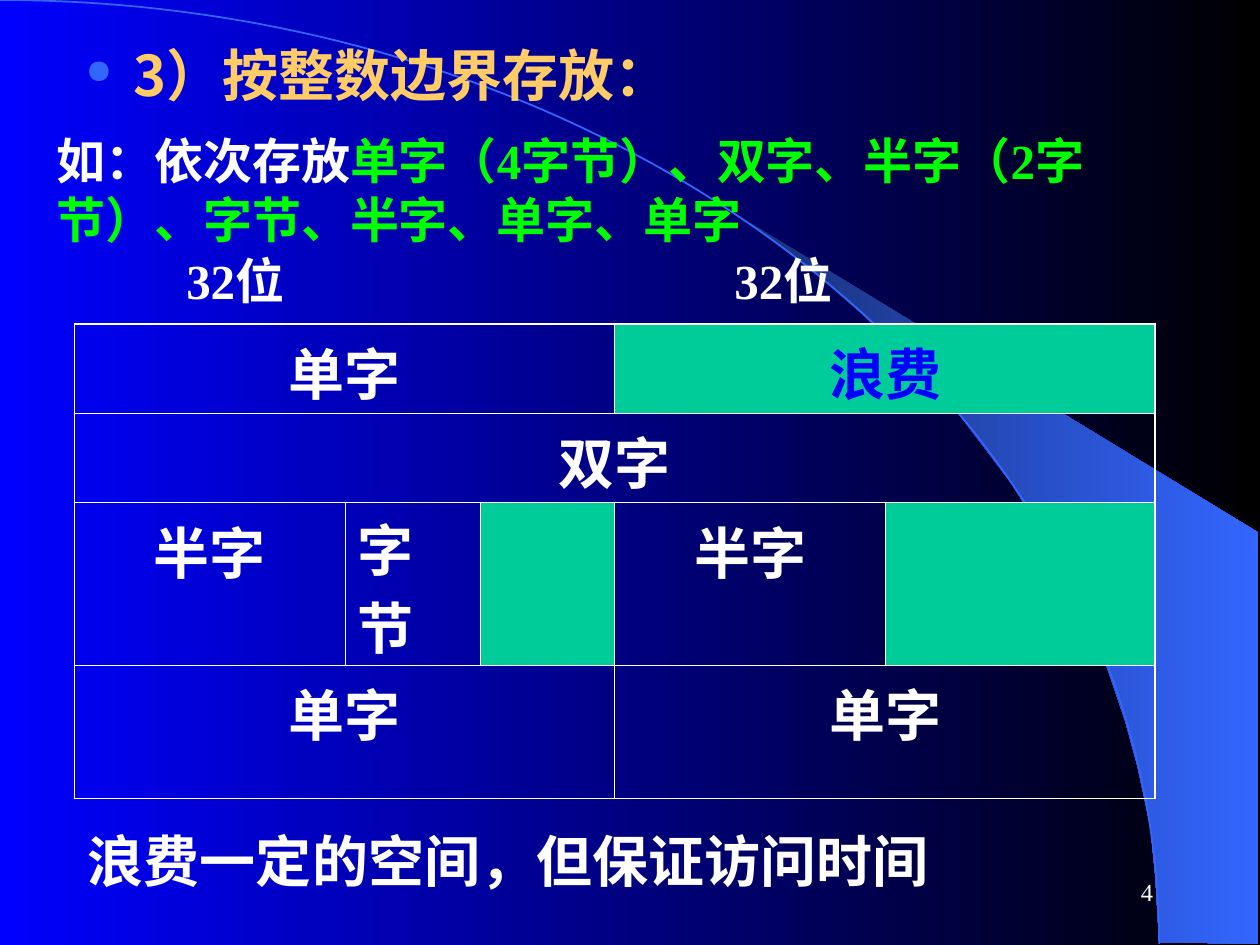
import math
from typing import NamedTuple, Optional

from lxml import etree
from pptx import Presentation
from pptx import util as u
from pptx.dml.color import RGBColor
from pptx.enum import text
from pptx.oxml import ns

LATIN, CJK = "Times New Roman", "Noto Sans CJK SC"
WHITE, BLUE, SKY, GREEN = "FFFFFF", "0000FF", "3366FF", "00FF00"
GOLD, WASTE = "FFCC66", "00CC99"
THIN, THICK = 0.45, 1.08
COLUMNS = [2.15, 1.07, 1.07, 2.15, 2.14]
ROWS = [0.71, 0.71, 1.28, 1.06]


class Field(NamedTuple):
    """One stored item, covering some columns of a memory row."""
    row: int
    column: int
    span: int
    label: str = ""
    fill: Optional[str] = None
    color: str = WHITE
    align: text.PP_ALIGN = text.PP_ALIGN.CENTER
    line_spacing: float = 1.0


class Caption(NamedTuple):
    left: float
    top: float
    width: float
    height: float
    runs: list  # (text, colour)
    size: float = 28
    bold: bool = True
    align: text.PP_ALIGN = text.PP_ALIGN.LEFT
    anchor: text.MSO_ANCHOR = text.MSO_ANCHOR.TOP
    before: float = 0
    tab: float = 0


FIELDS = [
    Field(0, 0, 3, "单字"),
    Field(0, 3, 2, "浪费", WASTE, BLUE),
    Field(1, 0, 5, "双字"),
    Field(2, 0, 1, "半字"),
    Field(2, 1, 1, "字节", align=text.PP_ALIGN.LEFT, line_spacing=0.96),
    Field(2, 2, 1, fill=WASTE),
    Field(2, 3, 1, "半字"),
    Field(2, 4, 1, fill=WASTE),
    Field(3, 0, 3, "单字"),
    Field(3, 3, 2, "单字"),
]

CAPTIONS = [
    Caption(0.35, 0.99, 8.98, 1.04, [
        ("如：依次存放", WHITE),
        ("单字（4字节）、双字、半字（2字节）、字节、半字、单字、单字", GREEN)]),
    Caption(0.6, 6.51, 7.2, 0.64, [("浪费一定的空间，但保证访问时间", WHITE)], size=32),
    Caption(1.38, 1.94, 7.08, 0.57, [("32位\t32位", WHITE)], before=17.5, tab=4.35),
    Caption(7.17, 6.83, 2.08, 0.5, [("4", WHITE)], size=14, bold=False,
            align=text.PP_ALIGN.RIGHT, anchor=text.MSO_ANCHOR.MIDDLE),
]

BEAM = [(9.2, 7.48), (9.99, 7.49), (9.99, 4.23), (5.89, 1.73), (6.24, 1.99),
        (6.53, 2.22), (6.85, 2.5), (7.16, 2.8), (7.62, 3.3), (8.03, 3.84),
        (8.32, 4.31), (8.58, 4.79), (8.78, 5.28), (8.93, 5.72), (9.03, 6.09),
        (9.13, 6.56), (9.17, 6.96)]


def rgb(color: str) -> RGBColor:
    return RGBColor.from_string(color)


def add_xml(parent, tag: str, **attributes):
    return etree.SubElement(parent, ns.qn(tag), attributes)


def style_run(run, size: float, color: str, bold: bool = True, latin: str = LATIN) -> None:
    run.font.size = u.Pt(size)
    run.font.bold = bold
    run.font.color.rgb = rgb(color)
    run.font.name = latin
    add_xml(run.font._element, "a:ea", typeface=CJK)


def fill_gradient(fill, start: str, end: str) -> None:
    fill.gradient()
    fill.gradient_angle = 0
    for stop, color in zip(fill.gradient_stops, (start, end)):
        stop.color.rgb = rgb(color)


def add_outline(slide, points: list, close: bool):
    builder = slide.shapes.build_freeform(
        u.Inches(points[0][0]), u.Inches(points[0][1]))
    builder.add_line_segments(
        [(u.Inches(x), u.Inches(y)) for x, y in points[1:]], close=close)
    outline = builder.convert_to_shape()
    outline.shadow.inherit = False
    return outline


def add_backdrop(slide) -> None:
    fill_gradient(slide.background.fill, BLUE, "000000")
    beam = add_outline(slide, BEAM, True)
    fill_gradient(beam.fill, "182F76", SKY)
    beam.line.fill.background()

    steps = 90
    angles = [math.pi / 2 * step / steps for step in range(steps + 1)]
    arc = add_outline(slide, [(9.2 * math.sin(a), 7.49 * (1 - math.cos(a)))
                              for a in angles], False)
    arc.fill.background()
    arc.line.color.rgb = rgb(SKY)
    arc.line.width = u.Pt(1)


def add_border(cell, side: str, width: float) -> None:
    """Draw one cell edge; a width of 0 hides it."""
    edge = add_xml(cell._tc.get_or_add_tcPr(), f"a:ln{side}", w=str(u.Pt(width)))
    if width:
        add_xml(add_xml(edge, "a:solidFill"), "a:srgbClr", val=WHITE)
    else:
        add_xml(edge, "a:noFill")


def add_field(table, field: Field) -> None:
    last = field.column + field.span - 1
    first_cell = table.cell(field.row, field.column)
    if field.span > 1:
        first_cell.merge(table.cell(field.row, last))
    for column in range(field.column, last + 1):
        cell = table.cell(field.row, column)
        left = THICK if column == 0 else THIN
        right = THICK if last == len(COLUMNS) - 1 else THIN
        add_border(cell, "L", left if column == field.column else 0)
        add_border(cell, "R", right if column in (field.column, last) else 0)
        add_border(cell, "T", THICK if field.row == 0 else THIN)
        add_border(cell, "B", THICK if field.row == len(ROWS) - 1 else THIN)
        cell.margin_bottom = u.Inches(0)
        if field.fill:
            cell.fill.solid()
            cell.fill.fore_color.rgb = rgb(field.fill)
        else:
            cell.fill.background()
    if field.label:
        paragraph = first_cell.text_frame.paragraphs[0]
        paragraph.text = field.label
        paragraph.alignment = field.align
        paragraph.line_spacing = field.line_spacing
        paragraph.space_before = u.Pt(8)
        style_run(paragraph.runs[0], 32, field.color)


def add_memory_table(slide) -> None:
    table = slide.shapes.add_table(
        len(ROWS), len(COLUMNS), u.Inches(0.59), u.Inches(2.57),
        u.Inches(sum(COLUMNS)), u.Inches(sum(ROWS))).table
    table.first_row = table.horz_banding = False
    for column, width in zip(table.columns, COLUMNS):
        column.width = u.Inches(width)
    for row, height in zip(table.rows, ROWS):
        row.height = u.Inches(height)
    for field in FIELDS:
        add_field(table, field)


def place_title(slide) -> None:
    title = slide.shapes.title
    title.left, title.top = u.Inches(0.58), u.Inches(0)
    title.width, title.height = u.Inches(5.52), u.Inches(1.17)
    frame = title.text_frame
    frame.text = "3）按整数边界存放："
    frame.auto_size = text.MSO_AUTO_SIZE.NONE
    frame.vertical_anchor = text.MSO_ANCHOR.MIDDLE
    paragraph = frame.paragraphs[0]
    paragraph.alignment = text.PP_ALIGN.LEFT
    paragraph.space_before = u.Pt(8)
    style_run(paragraph.runs[0], 32, GOLD, latin=CJK)
    props = paragraph._p.get_or_add_pPr()
    props.set("marL", str(u.Inches(0.38)))
    props.set("indent", str(-u.Inches(0.38)))
    add_xml(add_xml(props, "a:buClr"), "a:srgbClr", val=SKY)
    add_xml(props, "a:buSzPct", val="60000")
    add_xml(props, "a:buChar", char="●")
    slide.shapes._spTree.append(title._element)  # in front of the arc


def add_caption(slide, caption: Caption) -> None:
    frame = slide.shapes.add_textbox(*map(u.Inches, caption[:4])).text_frame
    frame.word_wrap = True
    frame.vertical_anchor = caption.anchor
    paragraph = frame.paragraphs[0]
    paragraph.alignment = caption.align
    paragraph.space_before = u.Pt(caption.before)
    if caption.tab:
        stops = add_xml(paragraph._p.get_or_add_pPr(), "a:tabLst")
        add_xml(stops, "a:tab", pos=str(u.Inches(caption.tab)), algn="l")
    for words, color in caption.runs:
        run = paragraph.add_run()
        run.text = words
        style_run(run, caption.size, color, caption.bold)


def main() -> None:
    deck = Presentation()
    deck.slide_width, deck.slide_height = u.Inches(10), u.Inches(7.5)
    slide = deck.slides.add_slide(deck.slide_layouts[5])
    add_backdrop(slide)
    add_memory_table(slide)
    place_title(slide)
    for caption in CAPTIONS:
        add_caption(slide, caption)
    deck.save("out.pptx")


if __name__ == "__main__":
    main()
